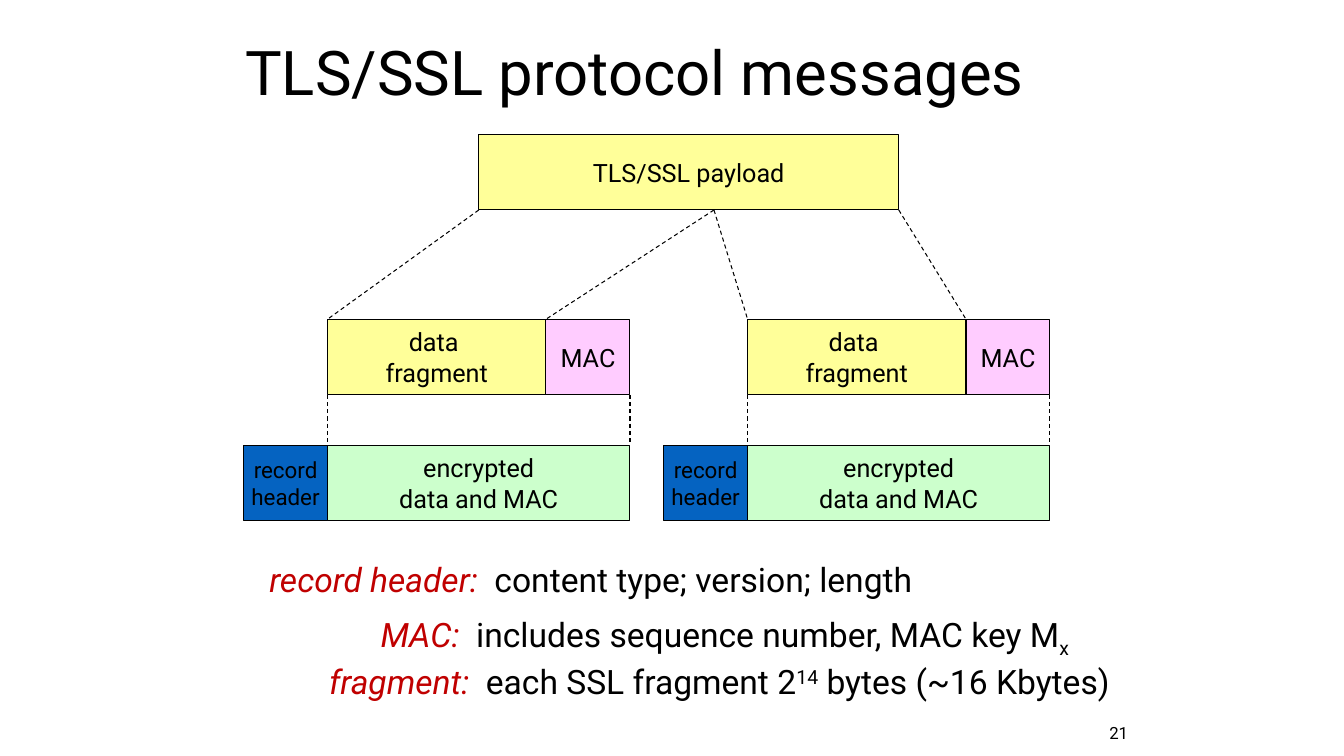
from dataclasses import dataclass

import lxml.etree
import pptx
import pptx.dml.color
import pptx.enum.dml
import pptx.enum.shapes
import pptx.enum.text
import pptx.oxml.ns
import pptx.util

ANCHOR = pptx.enum.text.MSO_ANCHOR
ALIGN = pptx.enum.text.PP_ALIGN
EMU_PER_PX = 9525


@dataclass(frozen=True)
class Theme:
    font: str = "Roboto"
    ink: str = "000000"
    term: str = "C00000"
    plain: str = "FFFF99"
    mac: str = "FFCCFF"
    encrypted: str = "CCFFCC"
    header: str = "0563C1"
    title_size: int = 44
    note_size: int = 24
    label_size: int = 18
    header_size: int = 16
    number_size: int = 12
    line_width: float = 0.75


def px(*lengths):
    return [pptx.util.Emu(length * EMU_PER_PX) for length in lengths]


def rgb(colour):
    return pptx.dml.color.RGBColor.from_string(colour)


class Diagram:
    def __init__(self, theme, slide):
        self.theme = theme
        self.slide = slide

    def set_text(self, frame, text, size, align=ALIGN.LEFT, anchor=ANCHOR.TOP,
                 wrap=True, spacing=None):
        """Fill a frame; text is a string or a list of (text, run options)."""
        frame.word_wrap = wrap
        frame.vertical_anchor = anchor
        frame.auto_size = pptx.enum.text.MSO_AUTO_SIZE.NONE
        runs = [(text, {})] if isinstance(text, str) else text
        paragraph = frame.paragraphs[0]
        for words, options in runs:
            for index, line in enumerate(words.split("\n")):
                if index:
                    paragraph = frame.add_paragraph()
                paragraph.alignment = align
                paragraph.line_spacing = spacing
                run = paragraph.add_run()
                run.text = line
                run.font.name = self.theme.font
                run.font.size = pptx.util.Pt(size)
                run.font.italic = options.get("italic", False)
                run.font.color.rgb = rgb(options.get("colour", self.theme.ink))
                if "baseline" in options:
                    run.font._element.set("baseline", str(options["baseline"] * 1000))

    def title(self, text, left, top, width, height):
        title = self.slide.shapes.title
        title.left, title.top, title.width, title.height = px(left, top, width, height)
        self.set_text(title.text_frame, text, self.theme.title_size,
                      anchor=ANCHOR.MIDDLE, spacing=0.9)

    def text(self, text, left, top, width, height, size):
        box = self.slide.shapes.add_textbox(*px(left, top, width, height))
        self.set_text(box.text_frame, text, size)

    def block(self, text, left, top, width, fill, size=None):
        block = self.slide.shapes.add_shape(
            pptx.enum.shapes.MSO_SHAPE.RECTANGLE, *px(left, top, width, BLOCK_HEIGHT))
        block.shadow.inherit = False
        block.fill.solid()
        block.fill.fore_color.rgb = rgb(fill)
        block.line.color.rgb = rgb(self.theme.ink)
        block.line.width = pptx.util.Pt(self.theme.line_width)
        self.set_text(block.text_frame, text, size or self.theme.label_size,
                      align=ALIGN.CENTER, anchor=ANCHOR.MIDDLE, wrap=False)

    def dashed(self, x1, y1, x2, y2):
        dashed = self.slide.shapes.add_connector(
            pptx.enum.shapes.MSO_CONNECTOR.STRAIGHT, *px(x1, y1, x2, y2))
        dashed.line.color.rgb = rgb(self.theme.ink)
        dashed.line.width = pptx.util.Pt(self.theme.line_width)
        dashed.line.dash_style = pptx.enum.dml.MSO_LINE.DASH
        lxml.etree.SubElement(dashed._element.spPr, pptx.oxml.ns.qn("a:effectLst"))


BLOCK_HEIGHT = 72
PAYLOAD_TOP, FRAGMENT_TOP, RECORD_TOP = 128, 304, 424
PAYLOAD_LEFT, PAYLOAD_SPLIT, PAYLOAD_RIGHT = 456, 680, 856
FRAGMENT_WIDTH, MAC_WIDTH, HEADER_WIDTH = 208, 80, 80


def draw_record(diagram, left, payload_start, payload_end):
    """Draw one payload part as a fragment with MAC, above its encrypted record."""
    theme = diagram.theme
    mac_left = left + FRAGMENT_WIDTH
    right = mac_left + MAC_WIDTH
    diagram.block("data \nfragment", left, FRAGMENT_TOP, FRAGMENT_WIDTH, theme.plain)
    diagram.block("MAC", mac_left, FRAGMENT_TOP, MAC_WIDTH, theme.mac)
    diagram.block("encrypted\ndata and MAC", left, RECORD_TOP, right - left, theme.encrypted)
    diagram.block("record\nheader", left - HEADER_WIDTH, RECORD_TOP, HEADER_WIDTH,
                  theme.header, theme.header_size)
    for edge in (left, right):
        diagram.dashed(edge, FRAGMENT_TOP + BLOCK_HEIGHT, edge, RECORD_TOP)
    for start, end in ((payload_start, left), (payload_end, mac_left)):
        diagram.dashed(start, PAYLOAD_TOP + BLOCK_HEIGHT, end, FRAGMENT_TOP)


def main():
    deck = pptx.Presentation()
    deck.slide_width, deck.slide_height = px(1280, 720)
    theme = Theme()
    diagram = Diagram(theme, deck.slides.add_slide(deck.slide_layouts[5]))

    diagram.title("TLS/SSL protocol messages", 224, 12, 816, 120)
    diagram.block("TLS/SSL payload", PAYLOAD_LEFT, PAYLOAD_TOP,
                  PAYLOAD_RIGHT - PAYLOAD_LEFT, theme.plain)
    draw_record(diagram, 312, PAYLOAD_LEFT, PAYLOAD_SPLIT)
    draw_record(diagram, 712, PAYLOAD_SPLIT, PAYLOAD_RIGHT)

    notes = [
        (247, 528, 660, "record header:  ", [("content type; version; length", {})]),
        (353, 580, 699, "MAC:  ", [("includes sequence number, MAC key M", {}),
                                   ("x", {"baseline": -25})]),
        (304, 625, 780, "fragment:  ", [("each SSL fragment 2", {}),
                                        ("14", {"baseline": 30}),
                                        (" bytes (~16 Kbytes)", {})]),
    ]
    for left, top, width, term, meaning in notes:
        term_run = (term, {"italic": True, "colour": theme.term})
        diagram.text([term_run, *meaning], left, top, width, 48, theme.note_size)

    diagram.text("21", 1047, 684, 72, 29, theme.number_size)
    deck.save("out.pptx")


if __name__ == "__main__":
    main()
